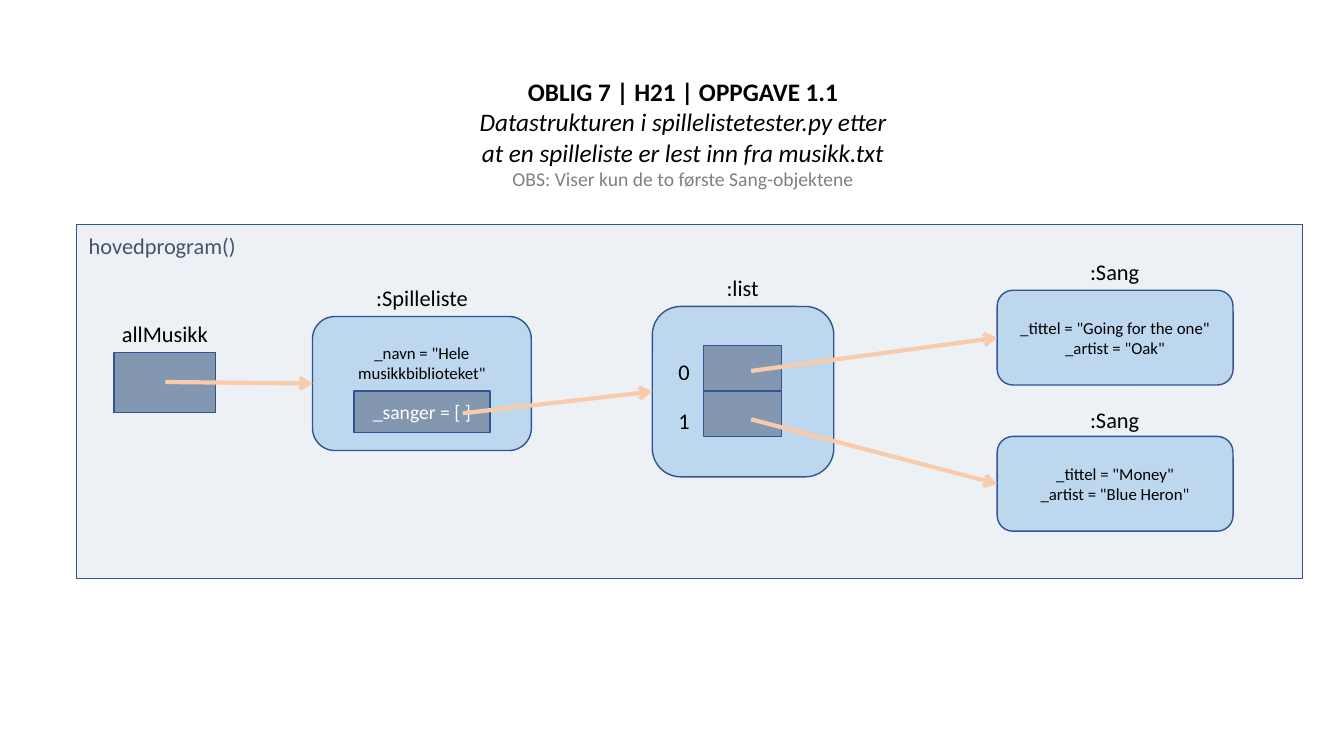
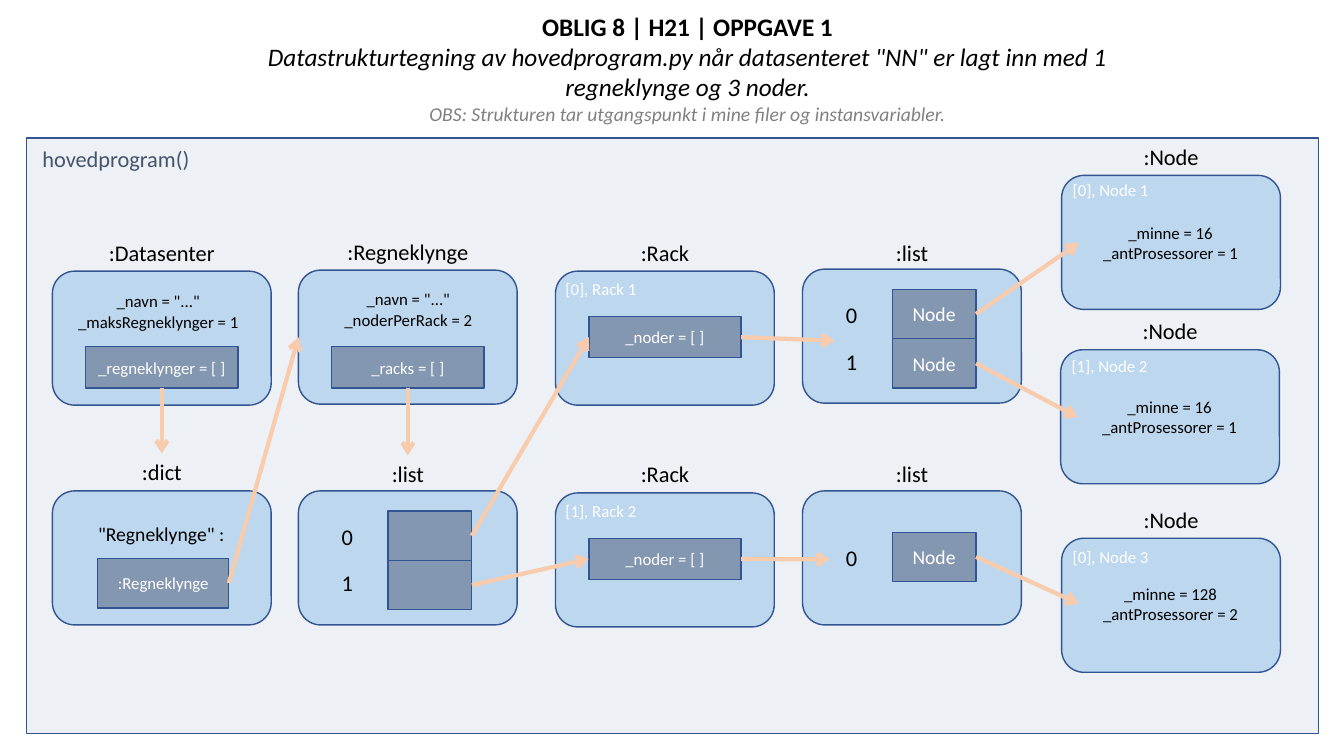
from lxml.etree import SubElement
from pptx import Presentation
from pptx.dml.color import RGBColor
from pptx.enum.shapes import MSO_CONNECTOR, MSO_SHAPE
from pptx.enum.text import MSO_ANCHOR, MSO_AUTO_SIZE, PP_ALIGN
from pptx.oxml.ns import qn
from pptx.util import Pt

PX = 9144  # EMU; 100 px to the inch
FONT = "Calibri"
BLACK = RGBColor(0x00, 0x00, 0x00)
WHITE = RGBColor(0xFF, 0xFF, 0xFF)
GREY = RGBColor(0x80, 0x80, 0x80)
SLATE = RGBColor(0x44, 0x54, 0x6A)
PANEL = RGBColor(0xD6, 0xDC, 0xE5)
OUTLINE = RGBColor(0x32, 0x54, 0x91)
OBJECT = RGBColor(0xBD, 0xD7, 0xEE)
CELL = RGBColor(0x84, 0x97, 0xB0)
ARROW = RGBColor(0xF8, 0xCB, 0xAD)
TOP, LEFT, BOTTOM, RIGHT = range(4)
LABEL_WIDTH, LABEL_HEIGHT = 149, 37


class Diagram:
    """Draws data structure diagrams, one page at a time."""

    def __init__(self, width, height):
        self.deck = Presentation()
        self.deck.slide_width = width * PX
        self.deck.slide_height = height * PX
        self.page = None

    def new_page(self):
        self.page = self.deck.slides.add_slide(self.deck.slide_layouts[6])

    def fill_text(self, box, text, size, color, align=PP_ALIGN.CENTER):
        frame = box.text_frame
        frame.word_wrap = True
        frame.text = text
        for para in frame.paragraphs:
            para.alignment = align
            for span in para.runs:
                span.font.name = FONT
                span.font.size = Pt(size)
                span.font.color.rgb = color

    def text(self, left, top, width, height, text, size=16, color=BLACK,
             align=PP_ALIGN.CENTER):
        box = self.page.shapes.add_textbox(left * PX, top * PX, width * PX, height * PX)
        self.fill_text(box, text, size, color, align)
        box.text_frame.auto_size = MSO_AUTO_SIZE.SHAPE_TO_FIT_TEXT
        return box

    def shape(self, kind, left, top, width, height, fill):
        box = self.page.shapes.add_shape(kind, left * PX, top * PX, width * PX, height * PX)
        box.shadow.inherit = False
        box.fill.solid()
        box.fill.fore_color.rgb = fill
        box.line.color.rgb = OUTLINE
        box.line.width = Pt(1)
        box.text_frame.vertical_anchor = MSO_ANCHOR.MIDDLE
        return box

    def header(self, left, top, width, lines, note_italic):
        box = self.text(left, top, width, 125, "\n".join(lines), 18)
        title, *subtitles, note = [para.runs[0].font for para in box.text_frame.paragraphs]
        title.bold = True
        for subtitle in subtitles:
            subtitle.italic = True
        note.italic = note_italic
        note.size = Pt(14)
        note.color.rgb = GREY

    def program(self, left, top, width, height, label_left):
        panel = self.shape(MSO_SHAPE.RECTANGLE, left, top, width, height, PANEL)
        color = panel._element.spPr.find(".//" + qn("a:srgbClr"))
        SubElement(color, qn("a:alpha")).set("val", "42000")
        self.text(label_left, top + 2, 180, LABEL_HEIGHT, "hovedprogram()", color=SLATE)

    def instance(self, name, left, top, width=217, height=133, gap=LABEL_HEIGHT):
        """Rounded box with its class name above; returns both."""
        box = self.shape(MSO_SHAPE.ROUNDED_RECTANGLE, left, top, width, height, OBJECT)
        label = self.text(left + (width - LABEL_WIDTH) // 2, top - gap,
                          LABEL_WIDTH, LABEL_HEIGHT, name)
        return box, label

    def cell(self, left, top, width, height, text="", size=12):
        box = self.shape(MSO_SHAPE.RECTANGLE, left, top, width, height, CELL)
        if text:
            self.fill_text(box, text, size, WHITE)
        return box

    def cells(self, left, top, width, height, texts, index_gap=40, index_step=46):
        """Stacked list cells with their indices to the left."""
        boxes = []
        for index, text in enumerate(texts):
            boxes.append(self.cell(left, top + index * height, width, height, text, 14))
            self.text(left - index_gap - 68, top + 7 + index * index_step,
                      135, LABEL_HEIGHT, str(index))
        return boxes

    def fields(self, left, top, text):
        return self.text(left, top, 182, 50, text, 12)

    def tag(self, left, top, text):
        self.text(left, top, 149, 30, text, 12, WHITE, PP_ALIGN.LEFT)

    def arrow(self, start, end):
        """Each end is an (x, y) point or a (box, side) pair."""
        line = self.page.shapes.add_connector(MSO_CONNECTOR.STRAIGHT, 0, 0, 0, 0)
        if isinstance(start[0], int):
            line.begin_x, line.begin_y = start[0] * PX, start[1] * PX
        else:
            line.begin_connect(*start)
        if isinstance(end[0], int):
            line.end_x, line.end_y = end[0] * PX, end[1] * PX
        else:
            line.end_connect(*end)
        line.line.color.rgb = ARROW
        line.line.width = Pt(3)
        properties = line._element.spPr
        SubElement(properties.find(qn("a:ln")), qn("a:tailEnd")).set("type", "arrow")
        SubElement(properties, qn("a:effectLst"))


def playlist_page(diagram):
    diagram.new_page()
    diagram.program(76, 223, 1216, 351, 71)
    diagram.header(465, 71, 425, [
        "OBLIG 7 | H21 | OPPGAVE 1.1",
        "Datastrukturen i spillelistetester.py etter",
        "at en spilleliste er lest inn fra musikk.txt",
        "OBS: Viser kun de to første Sang-objektene",
    ], note_italic=False)

    # Variable and playlist
    diagram.text(96, 313, 135, LABEL_HEIGHT, "allMusikk")
    diagram.cell(113, 350, 101, 59)
    playlist, _ = diagram.instance(":Spilleliste", 310, 314)
    diagram.fill_text(playlist, '_navn = "Hele musikkbiblioteket"', 12, BLACK)
    playlist.text_frame.margin_bottom = 46 * PX
    diagram.cell(351, 388, 135, 41, "_sanger = [ ]", 14)

    # List and songs
    song_list, _ = diagram.instance(":list", 647, 304, 180, 169)
    diagram.cells(698, 343, 77, 45, ["", ""], index_gap=19, index_step=49)
    songs = []
    for top, gap, text in [
        (288, 37, '_tittel = "Going for the one"\n_artist = "Oak"'),
        (433, 35, '_tittel = "Money"\n_artist = "Blue Heron"'),
    ]:
        song, _ = diagram.instance(":Sang", 989, top, 234, 94, gap)
        diagram.fill_text(song, text, 12, BLACK)
        songs.append(song)

    # References
    for start, target in [((164, 379), playlist), ((459, 410), song_list),
                          ((745, 368), songs[0]), ((745, 416), songs[1])]:
        diagram.arrow(start, (target, LEFT))


def data_centre_page(diagram):
    diagram.new_page()
    diagram.program(26, 137, 1282, 591, 25)
    diagram.header(244, 6, 876, [
        "OBLIG 8 | H21 | OPPGAVE 1",
        'Datastrukturtegning av hovedprogram.py når datasenteret "NN" '
        "er lagt inn med 1 regneklynge og 3 noder.",
        "OBS: Strukturen tar utgangspunkt i mine filer og instansvariabler.",
    ], note_italic=True)

    # Data centre and its dictionary
    diagram.instance(":Datasenter", 52, 269)
    diagram.fields(66, 284, '_navn = "..."\n_maksRegneklynger = 1')
    clusters = diagram.cell(85, 344, 151, 41, "_regneklynger = [ ]")
    _, dict_label = diagram.instance(":dict", 52, 487)
    diagram.text(86, 513, 148, 34, '"Regneklynge" :', 14)
    cluster_value = diagram.cell(97, 554, 130, 49, ":Regneklynge")

    # Cluster and its rack list
    cluster, _ = diagram.instance(":Regneklynge", 296, 268)
    diagram.fields(314, 282, '_navn = "..."\n_noderPerRack = 2')
    racks = diagram.cell(329, 344, 151, 41, "_racks = [ ]")
    _, rack_list_label = diagram.instance(":list", 296, 487, gap=35)
    rack_cells = diagram.cells(385, 507, 83, 49, ["", ""])

    # Racks
    rack_fields = []
    for index, (top, field_top) in enumerate([(269, 314), (489, 534)]):
        diagram.instance(":Rack", 551, top)
        diagram.tag(551, top + 3, f"[{index}], Rack {index + 1}")
        rack_fields.append(diagram.cell(584, field_top, 151, 41, "_noder = [ ]"))

    # Node lists
    node_cells = []
    for top, cell_top, count in [(267, 287, 2), (487, 528, 1)]:
        diagram.instance(":list", 796, top, gap=35)
        node_cells += diagram.cells(885, cell_top, 83, 49, ["Node"] * count)

    # Nodes
    nodes = []
    for left, top, tag_top, field_top, tag, memory, processors in [
        (1053, 174, 173, 216, "[0], Node 1", 16, 1),
        (1052, 347, 348, 389, "[1], Node 2", 16, 1),
        (1053, 534, 537, 574, "[0], Node 3", 128, 2),
    ]:
        diagram.instance(":Node", left, top)
        diagram.tag(left + 1, tag_top, tag)
        nodes.append(diagram.fields(
            left + 17, field_top, f"_minne = {memory}\n_antProsessorer = {processors}"))

    # References
    diagram.arrow((clusters, BOTTOM), (dict_label, TOP))
    diagram.arrow((cluster_value, RIGHT), (cluster, LEFT))
    diagram.arrow((racks, BOTTOM), (rack_list_label, TOP))
    for source, target in zip(rack_cells + node_cells, rack_fields + nodes):
        diagram.arrow((source, RIGHT), (target, LEFT))
    for field, point in zip(rack_fields, [(828, 338), (823, 555)]):
        diagram.arrow((field, RIGHT), point)


def main():
    diagram = Diagram(1333, 750)
    playlist_page(diagram)
    data_centre_page(diagram)
    diagram.deck.save("out.pptx")


if __name__ == "__main__":
    main()
